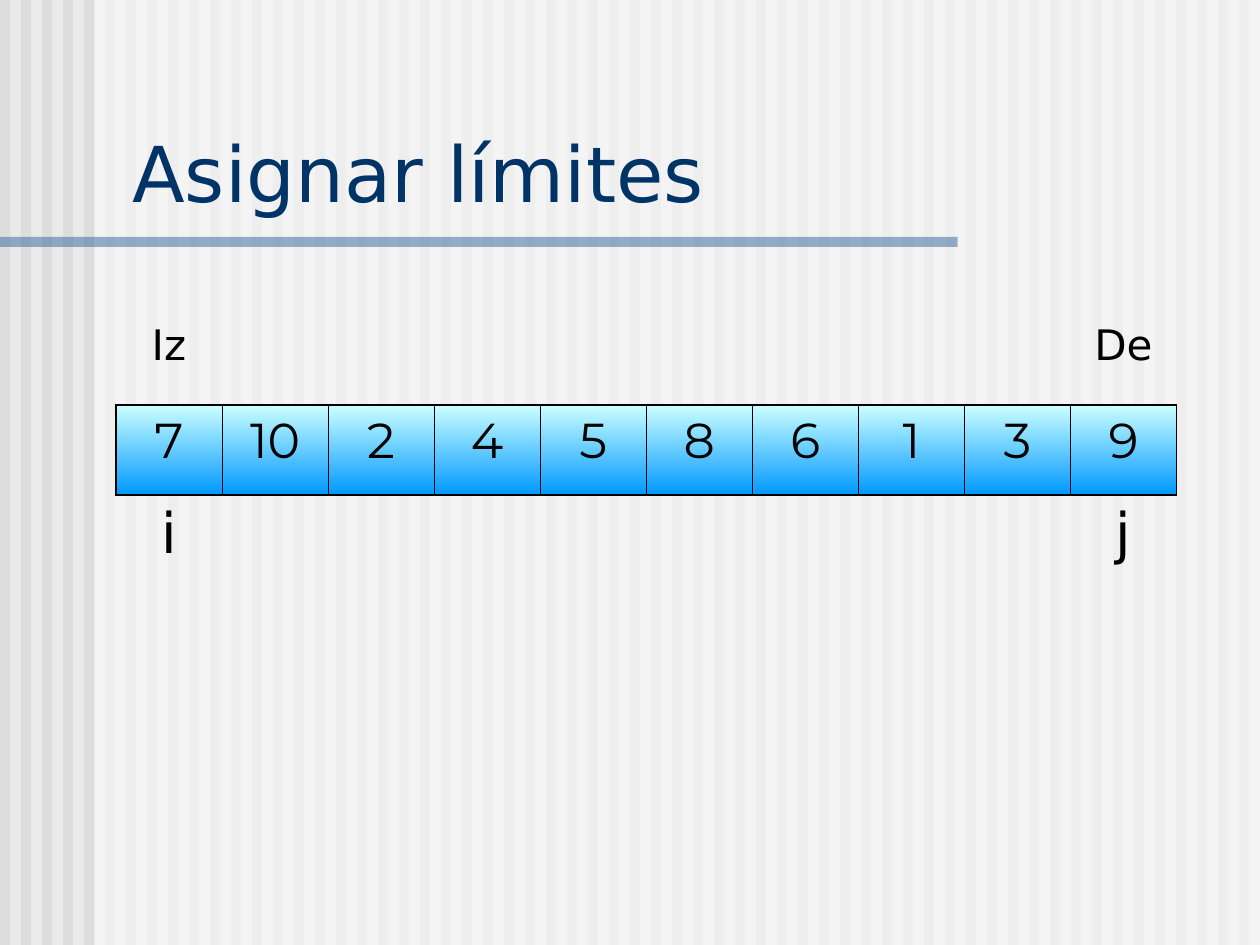
import pptx
import pptx.util
import pptx.dml.color
import pptx.enum.shapes
import pptx.enum.text
import pptx.oxml
import pptx.oxml.ns
from dataclasses import dataclass

Inches = pptx.util.Inches
Pt = pptx.util.Pt
PP_ALIGN = pptx.enum.text.PP_ALIGN
MSO_ANCHOR = pptx.enum.text.MSO_ANCHOR


@dataclass(frozen=True)
class Theme:
    """Colours, fonts, type sizes and line widths of the deck."""
    background: str = "EAEAEA"
    stripe: str = "DDDDDD"
    veil: str = "FFFFFF"
    rule: str = "336699"
    title: str = "003366"
    ink: str = "000000"
    cell_top: str = "CCFFFF"
    cell_bottom: str = "0099FF"
    text_font: str = "DejaVu Sans"
    number_font: str = "Montserrat"
    title_size: int = 44
    limit_size: int = 24
    number_size: int = 28
    index_size: int = 32
    outer_line: float = 1.08
    inner_line: float = 0.45


def rgb(colour):
    """Turn a hex string into a colour."""
    return pptx.dml.color.RGBColor.from_string(colour)


class SlideBuilder:
    """Draws styled elements on the current slide."""

    def __init__(self, deck, theme):
        """Add a title-only slide with the theme background."""
        self.theme = theme
        self.page = deck.slides.add_slide(deck.slide_layouts[5])
        self.page.background.fill.solid()
        self.page.background.fill.fore_color.rgb = rgb(theme.background)

    def style(self, paragraph, font, size, colour):
        """Format every run of a paragraph."""
        for span in paragraph.runs:
            span.font.name = font
            span.font.size = Pt(size)
            span.font.color.rgb = rgb(colour)

    def bar(self, left, top, width, height, colour, opacity=100):
        """Add a borderless rectangle, opaque or translucent."""
        box = self.page.shapes.add_shape(
            pptx.enum.shapes.MSO_SHAPE.RECTANGLE,
            Inches(left), Inches(top), Inches(width), Inches(height))
        box.shadow.inherit = False
        box.line.fill.background()
        box.fill.solid()
        box.fill.fore_color.rgb = rgb(colour)
        if opacity < 100:
            colour_node = box.fill._xPr.find(".//" + pptx.oxml.ns.qn("a:srgbClr"))
            alpha = pptx.oxml.parse_xml(
                f'<a:alpha {pptx.oxml.ns.nsdecls("a")} val="{opacity * 1000}"/>')
            colour_node.append(alpha)

    def title(self, text, left, top, width, height):
        """Place the title placeholder in front of the backdrop."""
        box = self.page.shapes.title
        box.left, box.top = Inches(left), Inches(top)
        box.width, box.height = Inches(width), Inches(height)
        frame = box.text_frame
        frame.text = text
        frame.word_wrap = True
        frame.auto_size = pptx.enum.text.MSO_AUTO_SIZE.NONE
        frame.vertical_anchor = MSO_ANCHOR.BOTTOM
        frame.paragraphs[0].alignment = PP_ALIGN.LEFT
        self.style(frame.paragraphs[0], self.theme.text_font,
                   self.theme.title_size, self.theme.title)
        self.page.shapes._spTree.append(box._element)

    def table(self, rows, columns, left, top, width, height):
        """Add a plain table without banding."""
        frame = self.page.shapes.add_table(
            rows, columns, Inches(left), Inches(top), Inches(width), Inches(height))
        frame.table.first_row = False
        frame.table.horz_banding = False
        return frame.table

    def cell_text(self, cell, text, font, size):
        """Write centred text with space before it in proportion to its size."""
        cell.vertical_anchor = MSO_ANCHOR.TOP
        paragraph = cell.text_frame.paragraphs[0]
        paragraph.text = text
        paragraph.alignment = PP_ALIGN.CENTER
        paragraph.space_before = Pt(size // 4)
        self.style(paragraph, font, size, self.theme.ink)

    def cell_gradient(self, cell):
        """Fill a cell from light at the top to deep blue below."""
        cell.fill.gradient()
        cell.fill.gradient_angle = 270
        colours = (self.theme.cell_top, self.theme.cell_bottom)
        for stop, colour in zip(cell.fill.gradient_stops, colours):
            stop.color.rgb = rgb(colour)

    def cell_borders(self, cell, widths):
        """Draw the given sides of a cell and clear the others."""
        properties = cell._tc.get_or_add_tcPr()
        for position, side in enumerate("LRTB"):
            width = widths.get(side, 0)
            paint = (f'<a:solidFill><a:srgbClr val="{self.theme.ink}"/></a:solidFill>'
                     if width else "<a:noFill/>")
            line = pptx.oxml.parse_xml(
                f'<a:ln{side} {pptx.oxml.ns.nsdecls("a")} w="{int(Pt(width))}">'
                f'{paint}</a:ln{side}>')
            properties.insert(position, line)


def draw_backdrop(slide, theme):
    """Draw the stripes, the pale veil and the title rule."""
    for index in range(60):
        slide.bar(index / 6, 0, 0.08, 7.5, theme.stripe)
    slide.bar(0.75, 0, 9.25, 7.5, theme.veil, 50)
    slide.bar(0, 1.88, 7.6, 0.08, theme.rule, 50)


def draw_array(slide, theme, numbers, limits, indices):
    """Draw the array with its limits above and its indices below."""
    last = len(numbers) - 1
    table = slide.table(3, len(numbers), 0.92, 2.5, 8.42, 2.14)
    rows = (
        ({0: limits[0], last: limits[1]}, theme.text_font, theme.limit_size),
        (dict(enumerate(numbers)), theme.number_font, theme.number_size),
        ({0: indices[0], last: indices[1]}, theme.text_font, theme.index_size),
    )
    outer, inner = theme.outer_line, theme.inner_line
    for row, (texts, font, size) in enumerate(rows):
        for column in range(len(numbers)):
            cell = table.cell(row, column)
            if column in texts:
                slide.cell_text(cell, str(texts[column]), font, size)
            if row == 1:
                slide.cell_gradient(cell)
                borders = {"L": inner if column else outer,
                           "R": inner if column < last else outer,
                           "T": outer, "B": outer}
            else:
                cell.fill.background()
                borders = {"B" if row == 0 else "T": outer}
            slide.cell_borders(cell, borders)


def main():
    """Build and save the deck."""
    theme = Theme()
    deck = pptx.Presentation()
    deck.slide_width, deck.slide_height = Inches(10), Inches(7.5)
    slide = SlideBuilder(deck, theme)
    draw_backdrop(slide, theme)
    draw_array(slide, theme, (7, 10, 2, 4, 5, 8, 6, 1, 3, 9), ("Iz", "De"), ("i", "j"))
    slide.title("Asignar límites", 0.95, 0.94, 8.93, 0.84)
    deck.save("out.pptx")


main()
